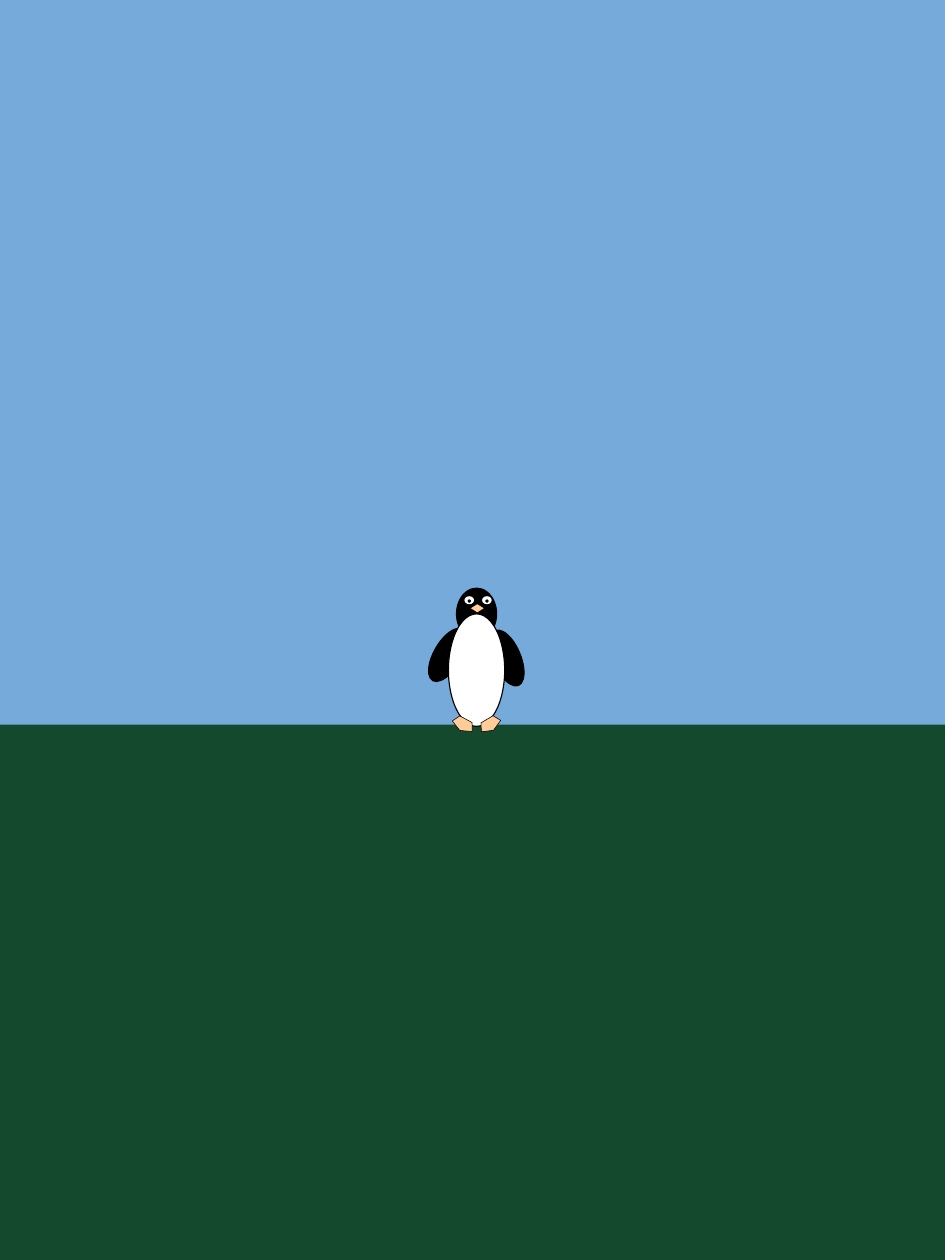
from pptx import Presentation
from pptx.dml.color import RGBColor
from pptx.enum.shapes import MSO_SHAPE
from pptx.util import Inches, Pt

BLACK, WHITE, PEACH = "000000", "FFFFFF", "FFCC99"

deck = Presentation()
deck.slide_width = Inches(5.88)
deck.slide_height = Inches(7.84)
slide = deck.slides.add_slide(deck.slide_layouts[6])


def color(hex_code):
    return RGBColor.from_string(hex_code)


def draw(parent, kind, left, top, width, height, fill, outline=0, angle=0):
    part = parent.add_shape(kind, Inches(left), Inches(top), Inches(width), Inches(height))
    part.shadow.inherit = False
    part.rotation = angle
    part.fill.solid()
    part.fill.fore_color.rgb = color(fill)
    if outline:
        part.line.color.rgb = color(BLACK)
        part.line.width = Pt(outline)
    else:
        part.line.fill.background()


draw(slide.shapes, MSO_SHAPE.RECTANGLE, 0, 4.47, 5.88, 3.37, "15492E")
draw(slide.shapes, MSO_SHAPE.RECTANGLE, 0, 0, 5.88, 4.51, "75AADB")

penguin = slide.shapes.add_group_shape().shapes
draw(penguin, MSO_SHAPE.OVAL, 2.84, 3.66, 0.25, 0.32, BLACK, 0.5)
for wing_left, wing_top, tilt in [(2.7, 3.89, 30.1), (3.07, 3.91, 337.4)]:
    draw(penguin, MSO_SHAPE.OVAL, wing_left, wing_top, 0.17, 0.37, BLACK, 0.5, tilt)
draw(penguin, MSO_SHAPE.OVAL, 2.79, 3.82, 0.35, 0.7, WHITE, 0.5)

for eye_left in (2.89, 3):
    draw(penguin, MSO_SHAPE.OVAL, eye_left, 3.71, 0.06, 0.05, WHITE)
    draw(penguin, MSO_SHAPE.OVAL, eye_left + 0.02, 3.73, 0.02, 0.02, BLACK)

for foot_left, tilt in [(2.81, 208.1), (2.98, 149.4)]:
    draw(penguin, MSO_SHAPE.REGULAR_PENTAGON, foot_left, 4.47, 0.14, 0.08, PEACH, 0.25, tilt)
draw(penguin, MSO_SHAPE.DIAMOND, 2.93, 3.76, 0.08, 0.05, PEACH)

deck.save("out.pptx")
